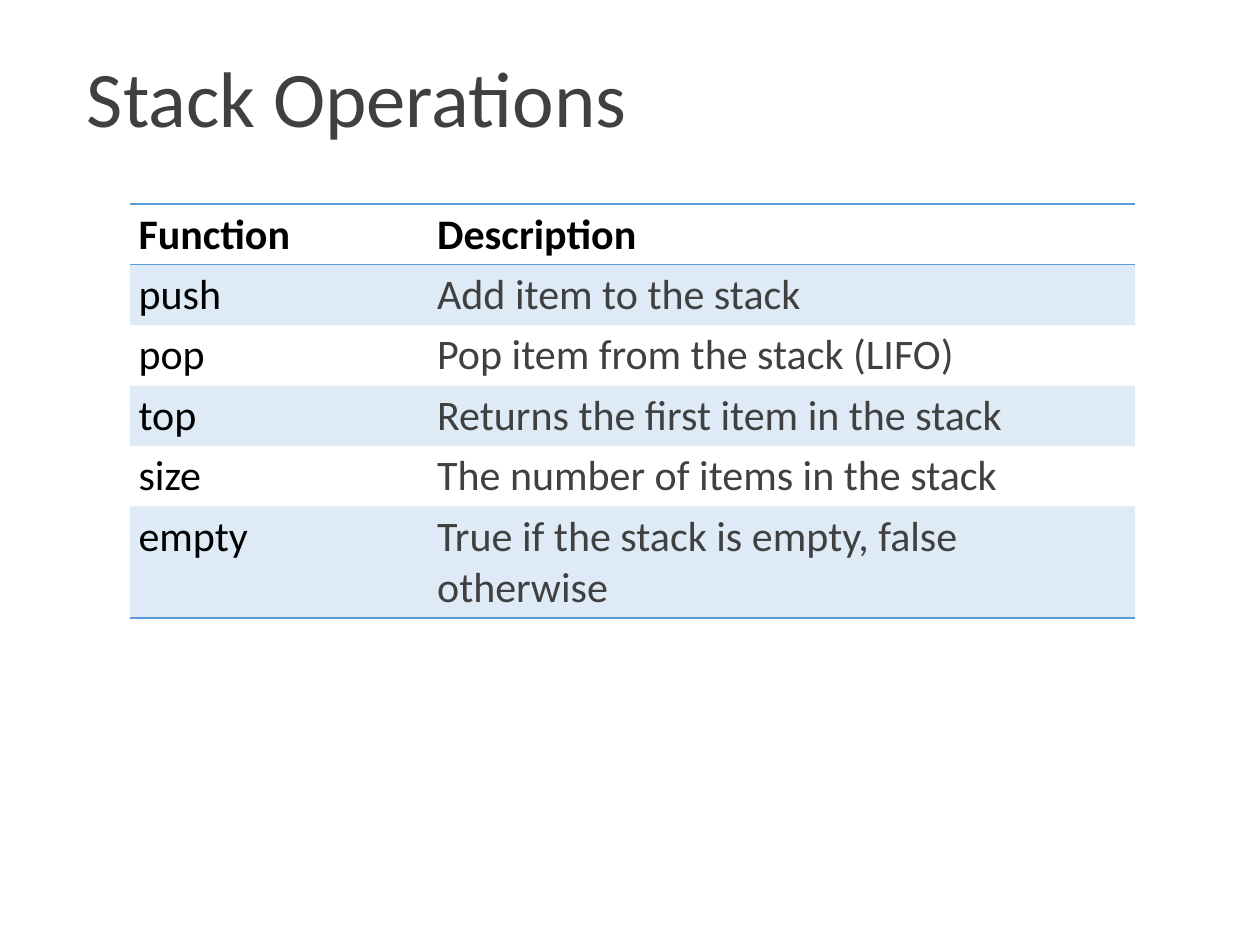
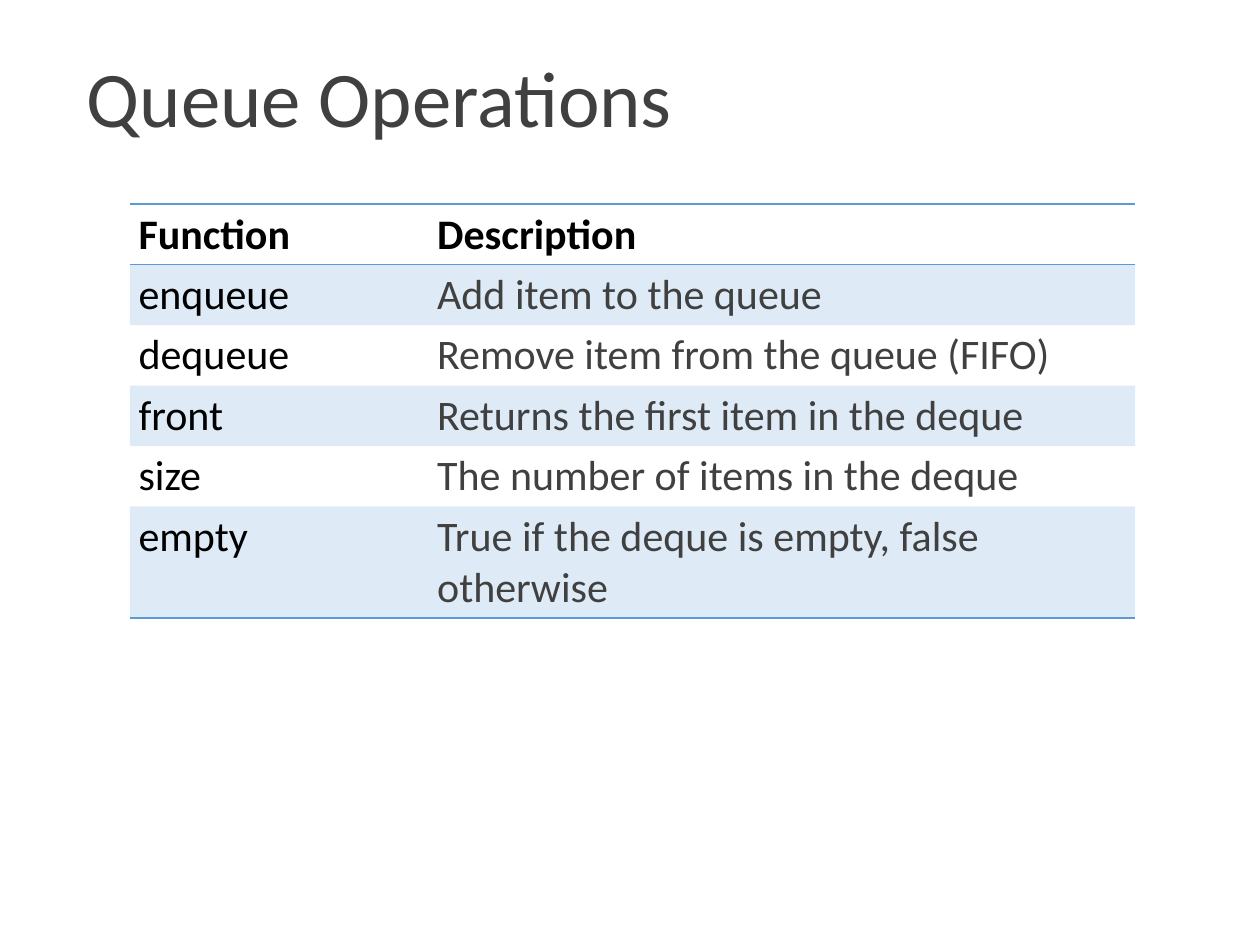
from dataclasses import dataclass

from lxml.etree import SubElement
from pptx import Presentation
from pptx.dml.color import RGBColor
from pptx.enum.text import MSO_ANCHOR, MSO_AUTO_SIZE, PP_ALIGN
from pptx.oxml.ns import qn
from pptx.presentation import Presentation as Deck
from pptx.slide import Slide
from pptx.table import _Cell as Cell
from pptx.text.text import TextFrame
from pptx.util import Inches, Pt


@dataclass(frozen=True)
class Theme:
    font: str = "Calibri"
    black: str = "000000"
    gray: str = "404040"
    blue: str = "5B9BD5"
    tint: int = 20
    title: int = 45
    body: int = 24
    rule: int = 1


@dataclass(frozen=True)
class Topic:
    title: str
    rows: tuple[tuple[str, str], ...]


THEME = Theme()
PLAIN = "{2D5ABB26-0587-4C30-8999-92F81FD0307C}"
HEAD = ("Function", "Description")
WIDTHS = (2.37, 5.61)
ROW = 0.48
TOPICS = (
    Topic("Stack Operations", (
        ("push", "Add item to the stack"),
        ("pop", "Pop item from the stack (LIFO)"),
        ("top", "Returns the first item in the stack"),
        ("size", "The number of items in the stack"),
        ("empty", "True if the stack is empty, false otherwise"),
    )),
    Topic("Queue Operations", (
        ("enqueue", "Add item to the queue"),
        ("dequeue", "Remove item from the queue (FIFO)"),
        ("front", "Returns the first item in the deque"),
        ("size", "The number of items in the deque"),
        ("empty", "True if the deque is empty, false otherwise"),
    )),
)


def write(frame: TextFrame, text: str, *, size: int = THEME.body,
          color: str = THEME.black, bold: bool = False,
          lead: float | None = None) -> None:
    frame.word_wrap = True
    para = frame.paragraphs[0]
    para.alignment = PP_ALIGN.LEFT
    para.line_spacing = lead
    run = para.add_run()
    run.text = text
    run.font.name = THEME.font
    run.font.size = Pt(size)
    run.font.bold = bold
    run.font.color.rgb = RGBColor.from_string(color)


def pad(box: Cell | TextFrame) -> None:
    """Set the narrow margins that titles and cells share."""
    box.margin_left = box.margin_right = Inches(0.07)
    box.margin_top, box.margin_bottom = Inches(0.04), Inches(0.03)


def edge(cell: Cell, tag: str) -> None:
    """Rule one side of a cell; call before the fill is set."""
    line = SubElement(cell._tc.get_or_add_tcPr(), qn(tag),
                      w=str(Pt(THEME.rule)))
    fill = SubElement(line, qn("a:solidFill"))
    SubElement(fill, qn("a:srgbClr"), val=THEME.blue)


def shade(cell: Cell, band: bool) -> None:
    if not band:
        cell.fill.background()
        return
    cell.fill.solid()
    cell.fill.fore_color.rgb = RGBColor.from_string(THEME.blue)
    color = cell._tc.tcPr.find(".//" + qn("a:solidFill") + "[last()]/"
                               + qn("a:srgbClr"))
    for color in cell._tc.tcPr.findall(qn("a:solidFill") + "/" + qn("a:srgbClr")):
        SubElement(color, qn("a:alpha"), val=str(THEME.tint * 1000))


def add_title(slide: Slide, text: str) -> None:
    title = slide.shapes.title
    title.left, title.top = Inches(0.62), Inches(0.5)
    title.width, title.height = Inches(4.95), Inches(1.18)
    frame = title.text_frame
    frame.auto_size = MSO_AUTO_SIZE.NONE
    frame.vertical_anchor = MSO_ANCHOR.TOP
    pad(frame)
    write(frame, text, size=THEME.title, color=THEME.gray, lead=0.78)


def add_grid(slide: Slide, rows: tuple[tuple[str, str], ...]) -> None:
    lines = (HEAD, *rows)
    shape = slide.shapes.add_table(
        len(lines), len(HEAD), Inches(1.03), Inches(1.62),
        Inches(sum(WIDTHS)), Inches(ROW * len(lines)))
    table = shape.table
    table._tbl.tblPr.find(qn("a:tableStyleId")).text = PLAIN
    for col, width in zip(table.columns, WIDTHS):
        col.width = Inches(width)
    for r, line in enumerate(lines):
        table.rows[r].height = Inches(ROW)
        for c, text in enumerate(line):
            cell = table.cell(r, c)
            pad(cell)
            write(cell.text_frame, text, bold=r == 0,
                  color=THEME.gray if r and c else THEME.black)
            if r == 0:
                edge(cell, "a:lnT")
            if r in (0, len(rows)):
                edge(cell, "a:lnB")
            shade(cell, r % 2 == 1)


def add_topic(deck: Deck, topic: Topic) -> None:
    slide = deck.slides.add_slide(deck.slide_layouts.get_by_name("Title Only"))
    add_title(slide, topic.title)
    add_grid(slide, topic.rows)


def main() -> None:
    deck = Presentation()
    deck.slide_width, deck.slide_height = Inches(10), Inches(7.5)
    for topic in TOPICS:
        add_topic(deck, topic)
    deck.save("out.pptx")


if __name__ == "__main__":
    main()
